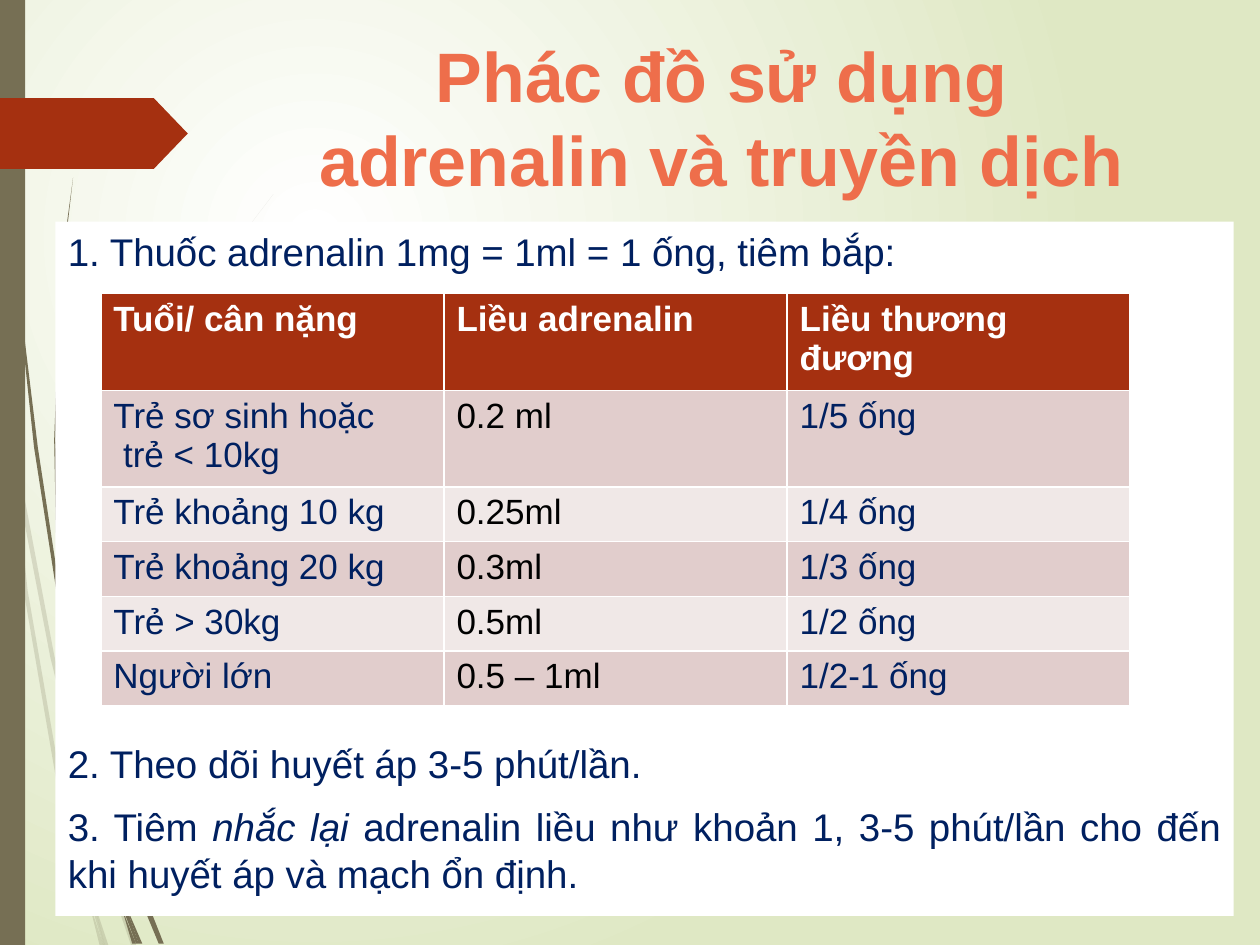
from lxml.etree import SubElement
from pptx import Presentation
from pptx.dml.color import RGBColor
from pptx.enum.shapes import MSO_SHAPE as Kind
from pptx.enum.text import MSO_ANCHOR as Anchor, PP_ALIGN as Align
from pptx.oxml.ns import qn
from pptx.util import Inches, Pt

# Grid of 100 columns by 75 rows; one cell is a tenth of an inch
COLS, ROWS = 100, 75
FONT = "Arial"
WHITE = RGBColor(0xFF, 0xFF, 0xFF)
BLACK = RGBColor(0x00, 0x00, 0x00)
GREEN = RGBColor(0xDF, 0xE8, 0xC4)
OLIVE = RGBColor(0x76, 0x6F, 0x54)
RUST = RGBColor(0xA5, 0x30, 0x10)
CORAL = RGBColor(0xEE, 0x6E, 0x4B)
NAVY = RGBColor(0x00, 0x20, 0x60)
ROSE = RGBColor(0xE1, 0xCD, 0xCC)
PALE = RGBColor(0xF0, 0xE8, 0xE7)

# Outlines of the grass blades, in grid cells
FAINT = [
    [(0.8, 35), (0.6, 32.2), (0, 28.2), (0, 29.9), (0.7, 34.4)],
    [(4, 52.2), (5.9, 59.9), (5.9, 58.6), (4.3, 52), (1, 34.5), (1.2, 37.6)],
    [(6.4, 60.7), (6.1, 59.6), (6.1, 61), (8.5, 69.4), (10.4, 75),
     (10.8, 75), (8.8, 69.2)],
    [(8.3, 75), (8.6, 75), (7.3, 71.1)],
    [(6.4, 68.3), (4.8, 61.9), (2.2, 46.9), (1.2, 37.6), (0.8, 35),
     (1.9, 47), (4.5, 62.1), (6.4, 69.3), (7, 71.4), (6.9, 70.7)],
    [(6.1, 58.4), (7.6, 46.2), (11.1, 34.9), (15.9, 24.5), (18.7, 19.8),
     (20.1, 17.5), (21.7, 15.4), (20.1, 17.5), (18.6, 19.7), (15.8, 24.4),
     (11, 34.8), (7.5, 46.1), (5.9, 58.4), (6.1, 59.6)],
    [(7, 71.4), (7.9, 75), (8.2, 75)],
    [(6.7, 69.2), (6.5, 68.3), (6.9, 70.7), (8.2, 75), (8.3, 75), (7.3, 71.1)],
]
SOLID = [
    [(0.5, 11), (1.4, 23.3), (2.7, 35.5), (4.6, 47.7), (4.7, 48.1),
     (4.5, 45.3), (3, 35.5), (1.5, 23.2), (0.6, 10.9), (0.4, 4.8),
     (0.3, 0), (0.2, 0), (0.3, 4.8)],
    [(9.4, 64.9), (9.1, 64.1), (9.1, 65.6), (10.9, 70.8), (12.6, 74.9),
     (13, 74.9), (11.3, 70.6)],
    [(5, 47.2), (4.8, 45.3), (4.4, 34.9), (4.8, 24.5), (5.2, 19.3),
     (5.8, 14.1), (5.1, 19.3), (4.7, 24.5), (4.3, 34.9), (4.5, 44.9)],
    [(11, 74.9), (11.3, 74.9), (10, 71.9)],
    [(4.7, 47.7), (5.3, 50.5), (5, 47.2), (4.5, 44.9)],
    [(9.7, 72.2), (10.5, 74.9), (10.8, 74.9)],
    [(9.6, 70.6), (9.1, 69.1), (9.6, 71.7), (10.8, 74.9), (11, 74.9), (10, 71.9)],
]

HEADS = ["Tuổi/ cân nặng", "Liều adrenalin", "Liều thương đương"]
DOSES = [
    ["Trẻ sơ sinh hoặc\n trẻ < 10kg", "0.2 ml", "1/5 ống"],
    ["Trẻ khoảng 10 kg", "0.25ml", "1/4 ống"],
    ["Trẻ khoảng 20 kg", "0.3ml", "1/3 ống"],
    ["Trẻ > 30kg", "0.5ml", "1/2 ống"],
    ["Người lớn", "0.5 – 1ml", "1/2-1 ống"],
]


def cell(n):
    return Inches(n / 10)


def box(*at):
    return [cell(n) for n in at]


def paint(shape, color):
    shape.shadow.inherit = False
    shape.fill.solid()
    shape.fill.fore_color.rgb = color
    shape.line.fill.background()


def style(par, size, color, bold=False):
    for run in par.runs:
        font = run.font
        font.name, font.size, font.bold = FONT, Pt(size), bold
        font.color.rgb = color


def add_back(slide):
    fill = slide.background.fill
    fill.gradient()
    for stop, color, pos in zip(fill.gradient_stops, (WHITE, GREEN), (0, 1)):
        stop.color.rgb, stop.position = color, pos
    grad = slide.element.find(".//" + qn("a:gradFill"))
    grad.remove(grad.find(qn("a:lin")))
    ring = SubElement(grad, qn("a:path"), path="circle")
    SubElement(ring, qn("a:fillToRect"), l="50000", t="50000",
               r="100000", b="100000")


def add_blade(slide, spots, alpha=None):
    first, *rest = [box(*spot) for spot in spots]
    pen = slide.shapes.build_freeform(*first, scale=1.0)
    pen.add_line_segments(rest, close=True)
    blade = pen.convert_to_shape()
    paint(blade, OLIVE)
    if alpha:
        tone = blade.element.spPr.find(".//" + qn("a:srgbClr"))
        SubElement(tone, qn("a:alpha"), val=str(alpha * 1000))


def add_block(slide, kind, at, color):
    block = slide.shapes.add_shape(kind, *box(*at))
    paint(block, color)
    return block


def add_title(slide, text):
    frame = slide.shapes.add_textbox(*box(21.2, 2.1, 72.1, 14)).text_frame
    frame.word_wrap = True
    frame.text = text
    par = frame.paragraphs[0]
    par.alignment = Align.CENTER
    style(par, 40, CORAL, True)


def add_body(slide):
    panel = add_block(slide, Kind.RECTANGLE, (4.4, 17.6, 93.5, 55.1), WHITE)
    frame = panel.text_frame
    frame.word_wrap, frame.vertical_anchor = True, Anchor.TOP
    frame.text = ("1. Thuốc adrenalin 1mg = 1ml = 1 ống, tiêm bắp:\n"
                  "2. Theo dõi huyết áp 3-5 phút/lần.\n"
                  "3. Tiêm ")
    last = frame.paragraphs[-1]
    for text in ("nhắc lại ", "adrenalin liều như khoản 1, 3-5 phút/lần "
                 "cho đến khi huyết áp và mạch ổn định."):
        last.add_run().text = text
    # The wide gap leaves room for the dose table
    for par, gap in zip(frame.paragraphs, (10, 266, 10)):
        par.alignment, par.space_before = Align.JUSTIFY, Pt(gap)
        style(par, 22, NAVY)
    last.runs[1].font.italic = True


def add_doses(slide):
    rows = [HEADS] + DOSES
    highs = [4.3, 6.8] + [3.9] * 4
    grid = slide.shapes.add_table(len(rows), len(HEADS),
                                  *box(8, 23.3, 81.7, sum(highs))).table
    for r, (row, high) in enumerate(zip(rows, highs)):
        grid.rows[r].height = cell(high)
        for c, text in enumerate(row):
            slot = grid.cell(r, c)
            slot.text = text
            slot.fill.solid()
            slot.fill.fore_color.rgb = (ROSE if r % 2 else PALE) if r else RUST
            ink = (NAVY, BLACK, NAVY)[c] if r else WHITE
            for par in slot.text_frame.paragraphs:
                style(par, 20, ink, r == 0)


def main():
    deck = Presentation()
    deck.slide_width, deck.slide_height = box(COLS, ROWS)
    slide = deck.slides.add_slide(deck.slide_layouts[6])

    # Backdrop: gradient, grass, side bar and arrow tab
    add_back(slide)
    for spots in FAINT:
        add_blade(slide, spots, 20)
    for spots in SOLID:
        add_blade(slide, spots)
    add_block(slide, Kind.RECTANGLE, (0, 0, 2, ROWS), OLIVE)
    tab = add_block(slide, Kind.PENTAGON, (0, 7.8, 14.9, 5.6), RUST)
    tab.adjustments[0] = 0.48

    # Content
    add_title(slide, "Phác đồ sử dụng adrenalin và truyền dịch")
    add_body(slide)
    add_doses(slide)
    deck.save("out.pptx")


if __name__ == "__main__":
    main()
